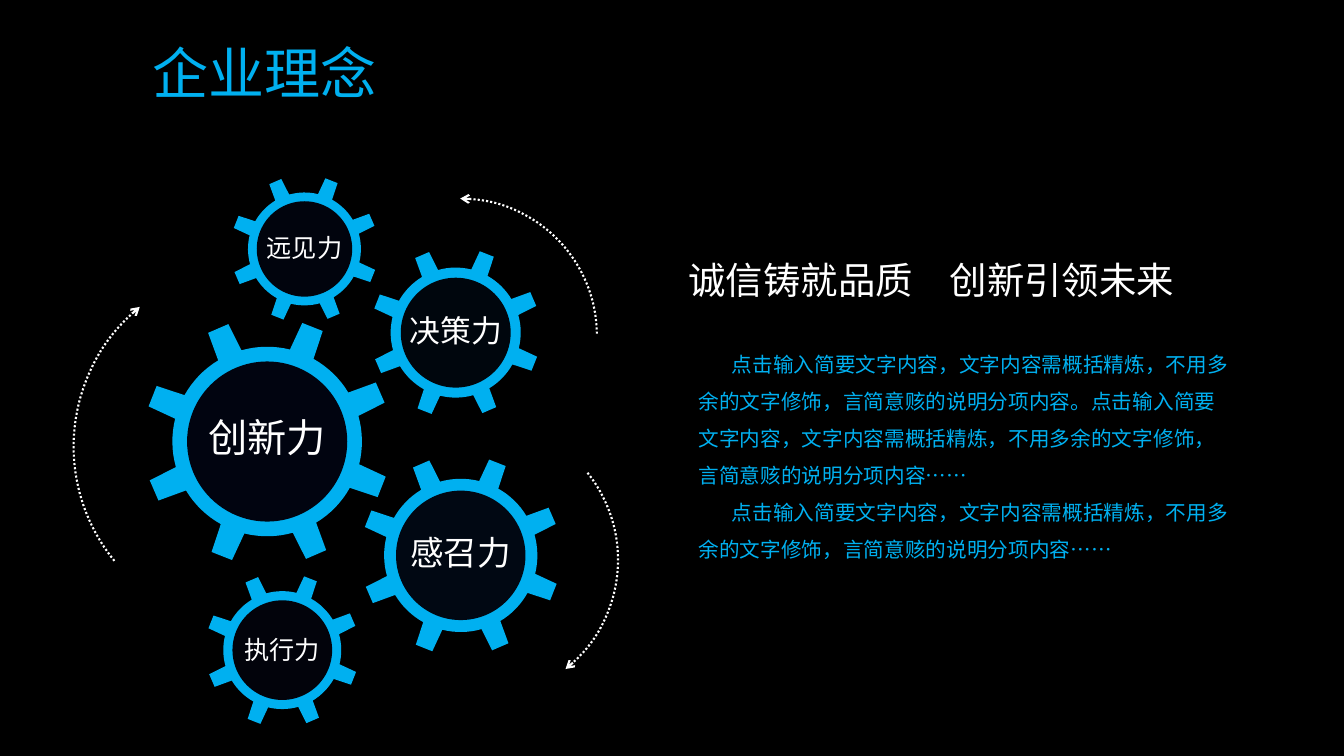
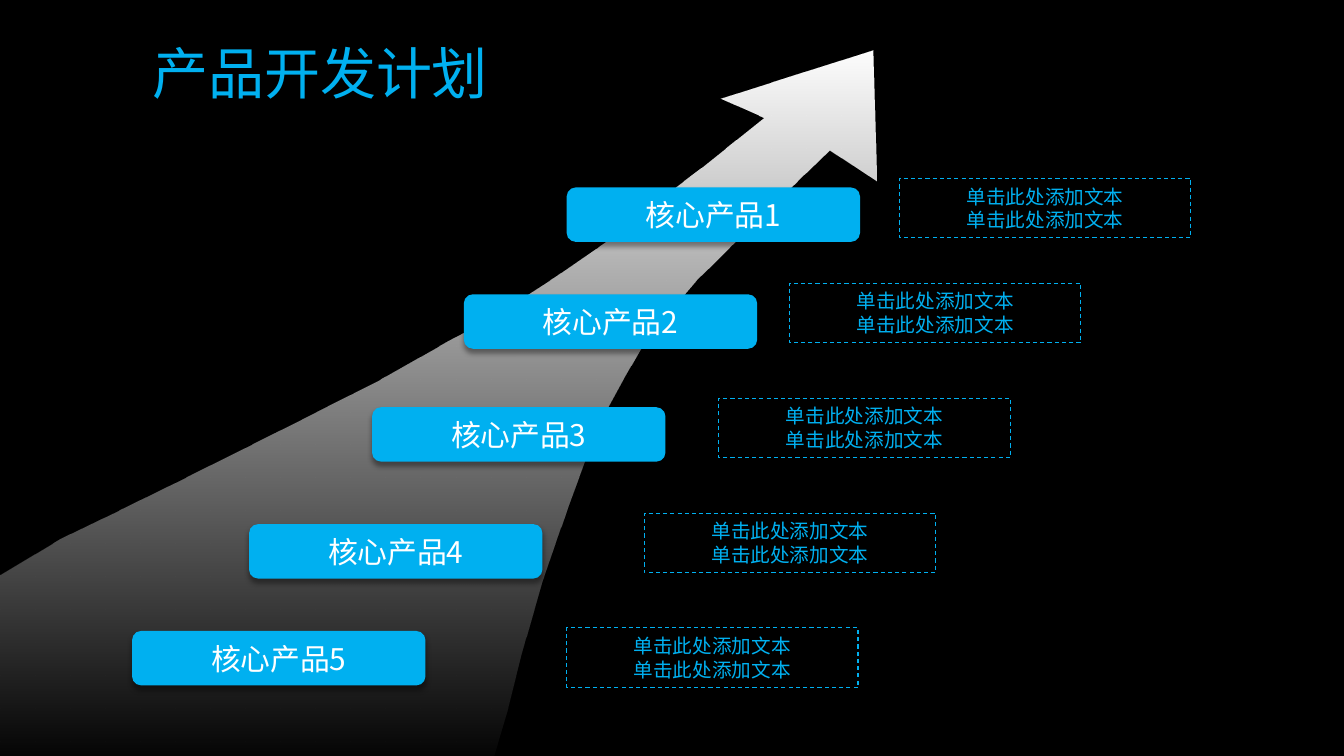
"""Build the company philosophy and product plan slides."""
from dataclasses import dataclass
from math import cos, radians, sin
from typing import NamedTuple, Optional

from lxml.etree import SubElement
from pptx import Presentation
from pptx.dml.color import RGBColor as RGB
from pptx.enum.dml import MSO_LINE_DASH_STYLE as DASH
from pptx.enum.shapes import MSO_SHAPE as SHAPE
from pptx.enum.text import MSO_ANCHOR as ANCHOR, MSO_AUTO_SIZE as AUTO, PP_ALIGN as ALIGN
from pptx.oxml.ns import qn
from pptx.util import Inches, Pt


@dataclass(frozen=True)
class Theme:
    font: str = "Noto Sans CJK SC"
    back: RGB = RGB(0, 0, 0)
    accent: RGB = RGB(0x00, 0xB0, 0xF0)
    white: RGB = RGB(0xFF, 0xFF, 0xFF)
    title: float = 40
    headline: float = 26.7
    body: float = 14.7
    stage: float = 21.3
    note: float = 14


class Gear(NamedTuple):
    label: str
    x: float
    y: float
    radius: float
    size: float
    core: str


class Arc(NamedTuple):
    x: float
    y: float
    size: float
    rotation: float
    arrow: str


class Stage(NamedTuple):
    label: str
    x: float
    y: float
    note_x: float
    note_y: float


T = Theme()
GEARS = [
    Gear("决策力", 4.52, 3.3, 0.645, 22, "00060D"),
    Gear("创新力", 2.65, 4.38, 0.94, 28, "010410"),
    Gear("感召力", 4.57, 5.51, 0.76, 24, "010813"),
    Gear("执行力", 2.8, 6.45, 0.585, 18, "02030B"),
    Gear("远见力", 3.02, 2.47, 0.56, 18, "01040D"),
]
ARCS = [
    Arc(3.21, 1.97, 2.71, 0, "headEnd"),
    Arc(0.73, 2.64, 3.58, 230.7, "tailEnd"),
    Arc(3.36, 4.17, 2.77, 51.4, "tailEnd"),
]
HEADLINES = [("诚信铸就品质", 6.73), ("创新引领未来", 9.32)]
BODY = [
    "点击输入简要文字内容，文字内容需概括精炼，不用多余的文字修饰，言简意赅的说明分项内容。"
    "点击输入简要文字内容，文字内容需概括精炼，不用多余的文字修饰，言简意赅的说明分项内容……",
    "点击输入简要文字内容，文字内容需概括精炼，不用多余的文字修饰，言简意赅的说明分项内容……",
]
STAGES = [
    Stage("核心产品1", 5.62, 1.86, 8.92, 1.77),
    Stage("核心产品2", 4.6, 2.92, 7.83, 2.81),
    Stage("核心产品3", 3.69, 4.04, 7.13, 3.95),
    Stage("核心产品4", 2.47, 5.2, 6.39, 5.09),
    Stage("核心产品5", 1.31, 6.26, 5.62, 6.23),
]
NOTE = ["单击此处添加文本"] * 2
ROAD = [
    (0, 5.7), (0.6, 5.34), (1.22, 5.04), (1.89, 4.71), (2.73, 4.29), (3.76, 3.77),
    (4.43, 3.39), (4.89, 3.14), (5.51, 2.74), (6.06, 2.36), (6.56, 1.96), (6.97, 1.65),
    (7.57, 1.17), (7.14, 0.98), (8.65, 0.5), (8.69, 1.8), (8.22, 1.49), (7.62, 2.07),
    (6.9, 2.78), (6.4, 3.37), (6.16, 3.79), (5.92, 4.23), (5.77, 4.64), (5.63, 5.02),
    (5.37, 5.77), (5.17, 6.47), (5.03, 7.03), (4.84, 7.67), (0, 7.67),
]


def write(tf, lines: list[str], size: float, color: RGB, align: ALIGN = ALIGN.LEFT,
          spacing: Optional[float] = None, indent: float = 0) -> None:
    """Fill a text frame with one run per paragraph."""
    for i, line in enumerate(lines):
        p = tf.add_paragraph() if i else tf.paragraphs[0]
        p.alignment = align
        if spacing:
            p.line_spacing = spacing
        if indent:
            p._p.get_or_add_pPr().set("indent", str(Inches(indent)))
        r = p.add_run()
        r.text = line
        r.font.size = Pt(size)
        r.font.color.rgb = color
        r.font.name = T.font
        rpr = r._r.get_or_add_rPr()
        rpr.set("lang", "zh-CN")
        SubElement(rpr, qn("a:ea")).set("typeface", T.font)


def set_insets(tf, x: float, y: float) -> None:
    """Set the side and the top and bottom insets."""
    tf.margin_left = tf.margin_right = Inches(x)
    tf.margin_top = tf.margin_bottom = Inches(y)


def add_text(s, x: float, y: float, w: float, h: float, lines: list[str], size: float,
             color: RGB, wrap: bool = False, inset: bool = True, **style) -> None:
    """Add a text box that grows with its text."""
    tf = s.shapes.add_textbox(Inches(x), Inches(y), Inches(w), Inches(h)).text_frame
    tf.word_wrap = wrap
    tf.auto_size = AUTO.SHAPE_TO_FIT_TEXT
    if not inset:
        set_insets(tf, 0, 0)
    write(tf, lines, size, color, **style)


def add_shape(shapes, kind: SHAPE, x: float, y: float, w: float, h: float,
              fill: Optional[RGB] = None):
    """Add a preset shape without line or shadow."""
    sp = shapes.add_shape(kind, Inches(x), Inches(y), Inches(w), Inches(h))
    sp.shadow.inherit = False
    sp.line.fill.background()
    if fill is None:
        sp.fill.background()
    else:
        sp.fill.solid()
        sp.fill.fore_color.rgb = fill
    return sp


def set_line(sp, color: RGB, width: float, dash: DASH) -> None:
    """Give a shape a dashed outline."""
    sp.line.color.rgb = color
    sp.line.width = Pt(width)
    sp.line.dash_style = dash


def add_outline(shapes, points: list[tuple[float, float]]):
    """Add a closed polygon given in inches."""
    first, *rest = [(Inches(x), Inches(y)) for x, y in points]
    builder = shapes.build_freeform(*first)
    builder.add_line_segments(rest, close=True)
    sp = builder.convert_to_shape()
    sp.shadow.inherit = False
    sp.line.fill.background()
    return sp


def gear_points(g: Gear) -> list[tuple[float, float]]:
    """Trace eight teeth and the round gaps between them."""
    tooth = [(-7.7, 1), (-5.1, 1.305), (5.1, 1.305), (7.7, 1)]
    gap = [(7.7 + 29.6 * i / 8, 1) for i in range(1, 8)]
    polar = [(radians(21.6 + 45 * k + a), g.radius * f)
             for k in range(8) for a, f in tooth + gap]
    return [(g.x + d * sin(a), g.y - d * cos(a)) for a, d in polar]


def add_gear(s, g: Gear) -> None:
    """Draw a toothed wheel with its dark core."""
    shapes = s.shapes.add_group_shape().shapes
    wheel = add_outline(shapes, gear_points(g))
    wheel.fill.solid()
    wheel.fill.fore_color.rgb = T.accent
    core = g.radius * 0.845
    add_shape(shapes, SHAPE.OVAL, g.x - core, g.y - core, 2 * core, 2 * core,
              RGB.from_string(g.core))


def add_gear_label(s, g: Gear) -> None:
    """Centre the label on its gear."""
    w, h = g.size / 24 + 0.2, g.size / 60 + 0.1
    add_text(s, g.x - w / 2, g.y - g.size / 86, w, h, [g.label], g.size, T.white,
             align=ALIGN.CENTER)


def add_arc(s, a: Arc) -> None:
    """Draw a dotted arc with one arrowhead."""
    sp = add_shape(s.shapes, SHAPE.ARC, a.x, a.y, a.size, a.size)
    sp.rotation = a.rotation
    set_line(sp, T.white, 1.5, DASH.ROUND_DOT)
    SubElement(sp.line._get_or_add_ln(), qn(f"a:{a.arrow}")).set("type", "arrow")


def add_road(s) -> None:
    """Draw the rising arrow that fades out downwards."""
    sp = add_outline(s.shapes, ROAD)
    sp.fill.gradient()
    sp.fill.gradient_angle = 270
    for stop, position in zip(sp.fill.gradient_stops, (0, 1)):
        stop.color.rgb = T.white
        stop.position = position
    last = list(sp._element.spPr.iter(qn("a:srgbClr")))[-1]
    SubElement(last, qn("a:alpha")).set("val", "0")


def add_drop_shadow(sp) -> None:
    """Add a soft black shadow below a shape."""
    effects = sp._element.spPr.find(qn("a:effectLst"))
    shadow = SubElement(effects, qn("a:outerShdw"), blurRad=str(Pt(4)), dist=str(Pt(3)),
                        dir="5400000", algn="t", rotWithShape="0")
    black = SubElement(shadow, qn("a:srgbClr"), val="000000")
    SubElement(black, qn("a:alpha"), val="40000")


def add_stage(s, st: Stage) -> None:
    """Draw a product bar and its dashed note."""
    bar = add_shape(s.shapes, SHAPE.ROUNDED_RECTANGLE, st.x, st.y, 2.91, 0.54, T.accent)
    add_drop_shadow(bar)
    note = add_shape(s.shapes, SHAPE.RECTANGLE, st.note_x, st.note_y, 2.89, 0.59)
    set_line(note, T.accent, 0.75, DASH.DASH)
    for sp in (bar, note):
        set_insets(sp.text_frame, 0.11, 0.06)
    bar.text_frame.vertical_anchor = ANCHOR.MIDDLE
    note.text_frame.vertical_anchor = ANCHOR.TOP
    note.text_frame.auto_size = AUTO.SHAPE_TO_FIT_TEXT
    write(bar.text_frame, [st.label], T.stage, T.white, ALIGN.CENTER)
    write(note.text_frame, NOTE, T.note, T.accent, ALIGN.CENTER)


def new_slide(prs):
    """Add a blank slide with the dark background."""
    s = prs.slides.add_slide(prs.slide_layouts[6])
    s.background.fill.solid()
    s.background.fill.fore_color.rgb = T.back
    return s


def add_title(s, title: str) -> None:
    """Add the slide title."""
    add_text(s, 1.51, 0.38, 3.83, 0.67, [title], T.title, T.accent, wrap=True, inset=False)


def build_philosophy(prs) -> None:
    """Build the gear slide."""
    s = new_slide(prs)
    add_title(s, "企业理念")
    for g in GEARS:
        add_gear(s, g)
    for g in GEARS:
        add_gear_label(s, g)
    for a in ARCS:
        add_arc(s, a)
    for text, x in HEADLINES:
        add_text(s, x, 2.5, 2.44, 0.55, [text], T.headline, T.white)
    add_text(s, 6.83, 3.32, 5.51, 2.69, BODY, T.body, T.accent, wrap=True,
             spacing=1.5, indent=0.33)


def build_plan(prs) -> None:
    """Build the product plan slide."""
    s = new_slide(prs)
    add_road(s)
    add_title(s, "产品开发计划")
    for st in STAGES:
        add_stage(s, st)


def main() -> None:
    """Build and save the presentation."""
    prs = Presentation()
    prs.slide_width, prs.slide_height = Inches(13.33), Inches(7.5)
    build_philosophy(prs)
    build_plan(prs)
    prs.save("out.pptx")


if __name__ == "__main__":
    main()
